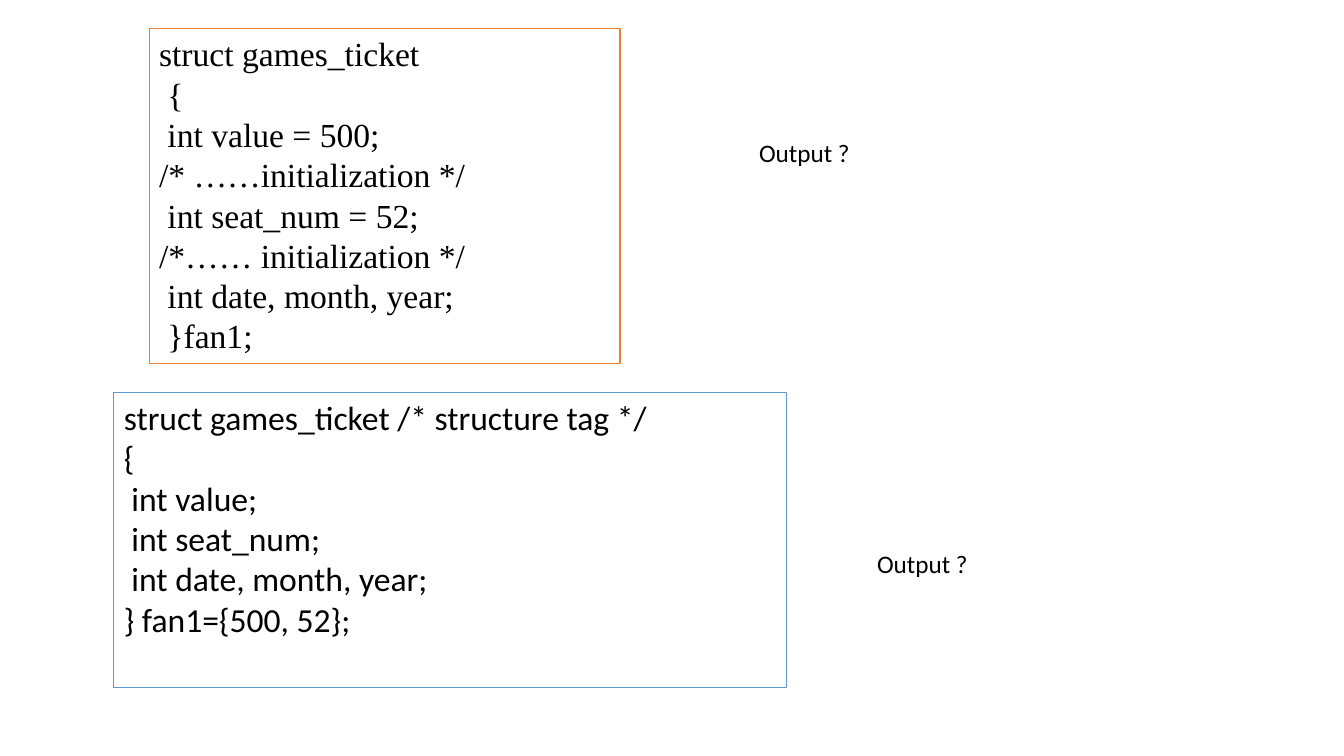
from pptx import Presentation
from pptx.dml.color import RGBColor
from pptx.enum.shapes import MSO_SHAPE
from pptx.enum.text import MSO_ANCHOR, PP_ALIGN
from pptx.util import Inches, Pt

BLACK = RGBColor(0x00, 0x00, 0x00)
ORANGE = RGBColor(0xED, 0x7D, 0x31)
BLUE = RGBColor(0x5B, 0x9B, 0xD5)

INITIALIZED_MEMBERS = [
    "struct games_ticket",
    " {",
    " int value = 500;",
    "/* ……initialization */",
    " int seat_num = 52;",
    "/*…… initialization */",
    " int date, month, year;",
    " }fan1;",
]
INITIALIZED_VARIABLE = [
    "struct games_ticket /* structure tag */",
    "{",
    " int value;",
    " int seat_num;",
    " int date, month, year;",
    "} fan1={500, 52};",
]
QUESTION = "Output ?"

EXAMPLES = [
    (INITIALIZED_MEMBERS, "Times New Roman", ORANGE, (1.48, 0.28, 4.67, 3.33), (7.43, 1.31)),
    (INITIALIZED_VARIABLE, "Calibri", BLUE, (1.13, 3.89, 6.67, 2.93), (8.6, 5.39)),
]
QUESTION_SIZE = (2.71, 0.4)


def write(frame, lines, font_name, size):
    frame.word_wrap = True
    frame.vertical_anchor = MSO_ANCHOR.TOP
    for index, line in enumerate(lines):
        paragraph = frame.add_paragraph() if index else frame.paragraphs[0]
        paragraph.text = line
        paragraph.alignment = PP_ALIGN.LEFT
        paragraph.font.name = font_name
        paragraph.font.size = Pt(size)
        paragraph.font.color.rgb = BLACK


def add_code(slide, lines, font_name, color, area):
    code = slide.shapes.add_shape(MSO_SHAPE.RECTANGLE, *map(Inches, area))
    code.shadow.inherit = False
    code.fill.background()
    code.line.color.rgb = color
    code.line.width = Pt(0.75)
    write(code.text_frame, lines, font_name, 24)


def add_question(slide, corner):
    question = slide.shapes.add_textbox(*map(Inches, corner + QUESTION_SIZE))
    write(question.text_frame, [QUESTION], "Calibri", 18)


def main():
    deck = Presentation()
    deck.slide_width, deck.slide_height = Inches(13.33), Inches(7.5)
    slide = deck.slides.add_slide(deck.slide_layouts[6])
    for lines, font_name, color, area, corner in EXAMPLES:
        add_code(slide, lines, font_name, color, area)
        add_question(slide, corner)
    deck.save("out.pptx")


if __name__ == "__main__":
    main()
